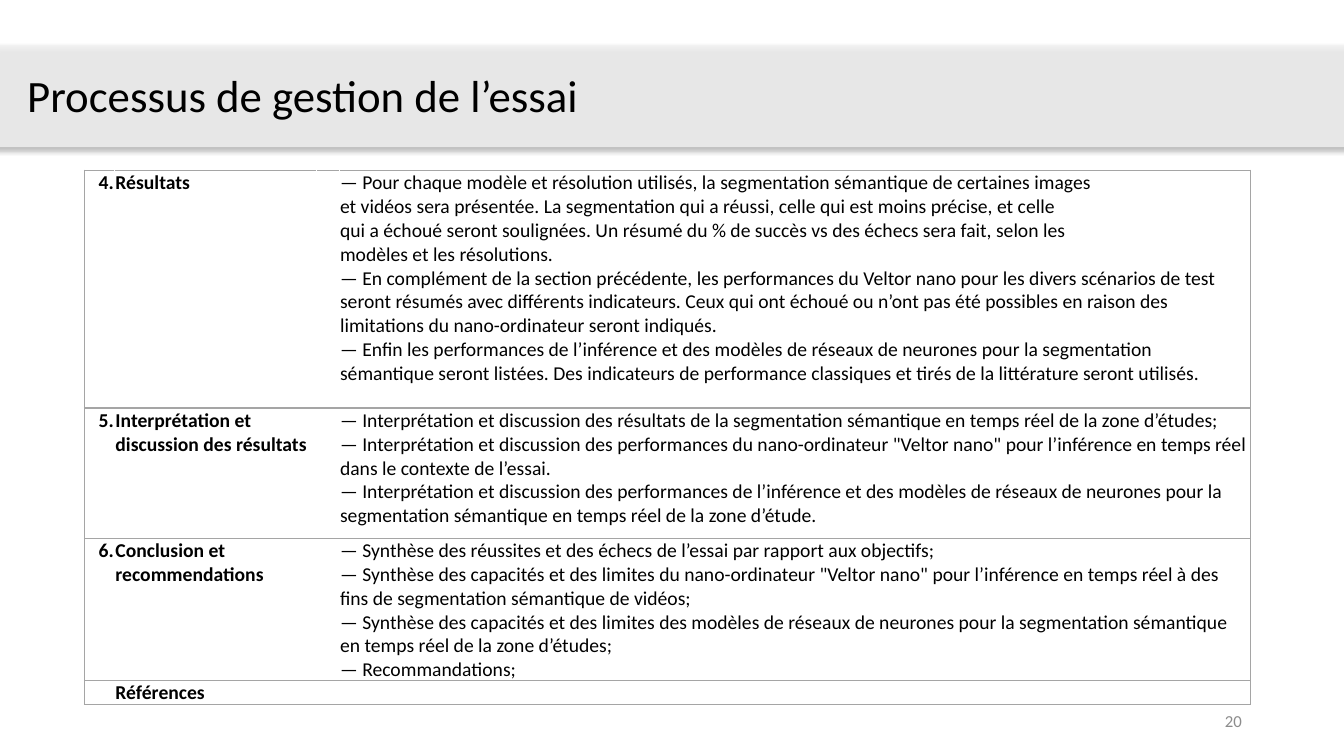
from lxml import etree
from pptx import Presentation
from pptx.dml import color
from pptx.enum import shapes, text
from pptx.oxml import ns
from pptx.util import Cm, Pt

SECTIONS = [
    ("4.", "Résultats", [
        "— Pour chaque modèle et résolution utilisés, la segmentation sémantique de certaines images",
        "et vidéos sera présentée. La segmentation qui a réussi, celle qui est moins précise, et celle",
        "qui a échoué seront soulignées. Un résumé du % de succès vs des échecs sera fait, selon les",
        "modèles et les résolutions.",
        "— En complément de la section précédente, les performances du Veltor nano pour les divers "
        "scénarios de test seront résumés avec différents indicateurs. Ceux qui ont échoué ou n’ont pas "
        "été possibles en raison des limitations du nano-ordinateur seront indiqués.",
        "— Enfin les performances de l’inférence et des modèles de réseaux de neurones pour la "
        "segmentation sémantique seront listées. Des indicateurs de performance classiques et tirés de "
        "la littérature seront utilisés.",
    ]),
    ("5.", "Interprétation et discussion des résultats", [
        "— Interprétation et discussion des résultats de la segmentation sémantique en temps réel de la "
        "zone d’études;",
        "— Interprétation et discussion des performances du nano-ordinateur \"Veltor nano\" pour "
        "l’inférence en temps réel dans le contexte de l’essai.",
        "— Interprétation et discussion des performances de l’inférence et des modèles de réseaux de "
        "neurones pour la segmentation sémantique en temps réel de la zone d’étude.",
    ]),
    ("6.", "Conclusion et recommendations", [
        "— Synthèse des réussites et des échecs de l’essai par rapport aux objectifs;",
        "— Synthèse des capacités et des limites du nano-ordinateur \"Veltor nano\" pour l’inférence en "
        "temps réel à des fins de segmentation sémantique de vidéos;",
        "— Synthèse des capacités et des limites des modèles de réseaux de neurones pour la segmentation "
        "sémantique en temps réel de la zone d’études;",
        "— Recommandations;",
    ]),
    ("", "Références", []),
]
COLUMN_WIDTHS = [0.76, 5.08, 0.58, 22.96]
ROW_HEIGHTS = [5.99, 3.28, 3.51, 0.61]


def rgb(value):
    return color.RGBColor.from_string(value)


def add_xml(parent, tag, **attributes):
    return etree.SubElement(parent, ns.qn(tag), attributes)


class SlideBuilder:
    font = "Calibri"
    ink, white, band_grey, number_grey, rule = "000000", "FFFFFF", "F2F2F2", "8C8C8C", "A5A5A5"
    body_size = 14

    def __init__(self, slide):
        self.slide = slide

    def set_text(self, paragraph, content, size, ink, bold=False, align=text.PP_ALIGN.LEFT):
        paragraph.text = content
        paragraph.alignment = align
        for run in paragraph.runs:
            run.font.name, run.font.size, run.font.bold = self.font, Pt(size), bold
            run.font.color.rgb = rgb(ink)
        # Line breaks and empty paragraphs keep the text size too
        for line_break in paragraph._p.findall(ns.qn("a:br")):
            add_xml(line_break, "a:rPr", sz=str(size * 100))
        if not content:
            add_xml(paragraph._p, "a:endParaRPr", sz=str(size * 100))

    def title(self, content, left, top, width, height):
        shape = self.slide.shapes.title
        shape.left, shape.top, shape.width, shape.height = map(Cm, (left, top, width, height))
        frame = shape.text_frame
        frame.vertical_anchor = text.MSO_ANCHOR.TOP
        frame.auto_size = text.MSO_AUTO_SIZE.SHAPE_TO_FIT_TEXT
        frame.word_wrap = True
        self.set_text(frame.paragraphs[0], content, 32, self.ink)
        frame.paragraphs[0].line_spacing = Pt(35)

    def band(self, left, top, width, height):
        shape = self.slide.shapes.add_shape(
            shapes.MSO_SHAPE.ROUNDED_RECTANGLE, *map(Cm, (left, top, width, height)))
        shape.fill.solid()
        shape.fill.fore_color.rgb = rgb(self.band_grey)
        shape.line.fill.background()
        fill_color = shape._element.spPr.find(".//" + ns.qn("a:srgbClr"))
        add_xml(fill_color, "a:alpha", val="80000")
        # Soft shadow below the band
        shape.shadow.inherit = False
        effects = shape._element.spPr.find(ns.qn("a:effectLst"))
        shadow = add_xml(effects, "a:outerShdw", blurRad=str(Pt(3.5)), dist=str(Pt(2.2)),
                         dir="5400000", rotWithShape="0")
        shadow_color = add_xml(shadow, "a:srgbClr", val=self.ink)
        add_xml(shadow_color, "a:alpha", val="32000")
        # The band lies behind the title
        self.slide.shapes.title._element.addprevious(shape._element)

    def page_number(self, content, left, top, width, height):
        frame = self.slide.shapes.add_textbox(*map(Cm, (left, top, width, height))).text_frame
        frame.word_wrap = True
        frame.vertical_anchor = text.MSO_ANCHOR.MIDDLE
        self.set_text(frame.paragraphs[0], content, 12, self.number_grey, align=text.PP_ALIGN.RIGHT)

    def borders(self, cell, sides):
        properties = cell._tc.get_or_add_tcPr()
        for index, side in enumerate(sides):
            line = add_xml(properties, "a:ln" + side, w=str(Pt(1)))
            add_xml(add_xml(line, "a:solidFill"), "a:srgbClr", val=self.rule)
            properties.insert(index, line)

    def table(self, sections, left, top):
        table = self.slide.shapes.add_table(
            len(sections), len(COLUMN_WIDTHS), Cm(left), Cm(top),
            Cm(sum(COLUMN_WIDTHS)), Cm(sum(ROW_HEIGHTS))).table
        table.first_row = table.horz_banding = False
        for column, width in zip(table.columns, COLUMN_WIDTHS):
            column.width = Cm(width)
        last = len(COLUMN_WIDTHS) - 1
        for row, height, (number, heading, lines) in zip(table.rows, ROW_HEIGHTS, sections):
            row.height = Cm(height)
            for index, content in enumerate((number, heading, "", "\n".join(lines))):
                cell = row.cells[index]
                cell.margin_left = cell.margin_right = cell.margin_top = Cm(0.02)
                cell.margin_bottom = 0
                cell.fill.solid()
                cell.fill.fore_color.rgb = rgb(self.white)
                align = text.PP_ALIGN.RIGHT if index == 0 else text.PP_ALIGN.LEFT
                self.set_text(cell.text_frame.paragraphs[0], content, self.body_size, self.ink,
                              bold=index < last, align=align)
                self.borders(cell, {0: "LTB", last: "RTB"}.get(index, "TB"))


def main():
    presentation = Presentation()
    presentation.slide_width, presentation.slide_height = Cm(33.87), Cm(19.05)
    builder = SlideBuilder(presentation.slides.add_slide(presentation.slide_layouts[5]))

    # Heading
    builder.title("Processus de gestion de l’essai", 0.43, 1.7, 33.43, 1.5)
    builder.band(-0.48, 1.14, 34.8, 2.57)

    # Sections and page number
    builder.page_number("20", 23.93, 17.65, 7.62, 1.02)
    builder.table(SECTIONS, 2.13, 4.29)

    presentation.save("out.pptx")


if __name__ == "__main__":
    main()
